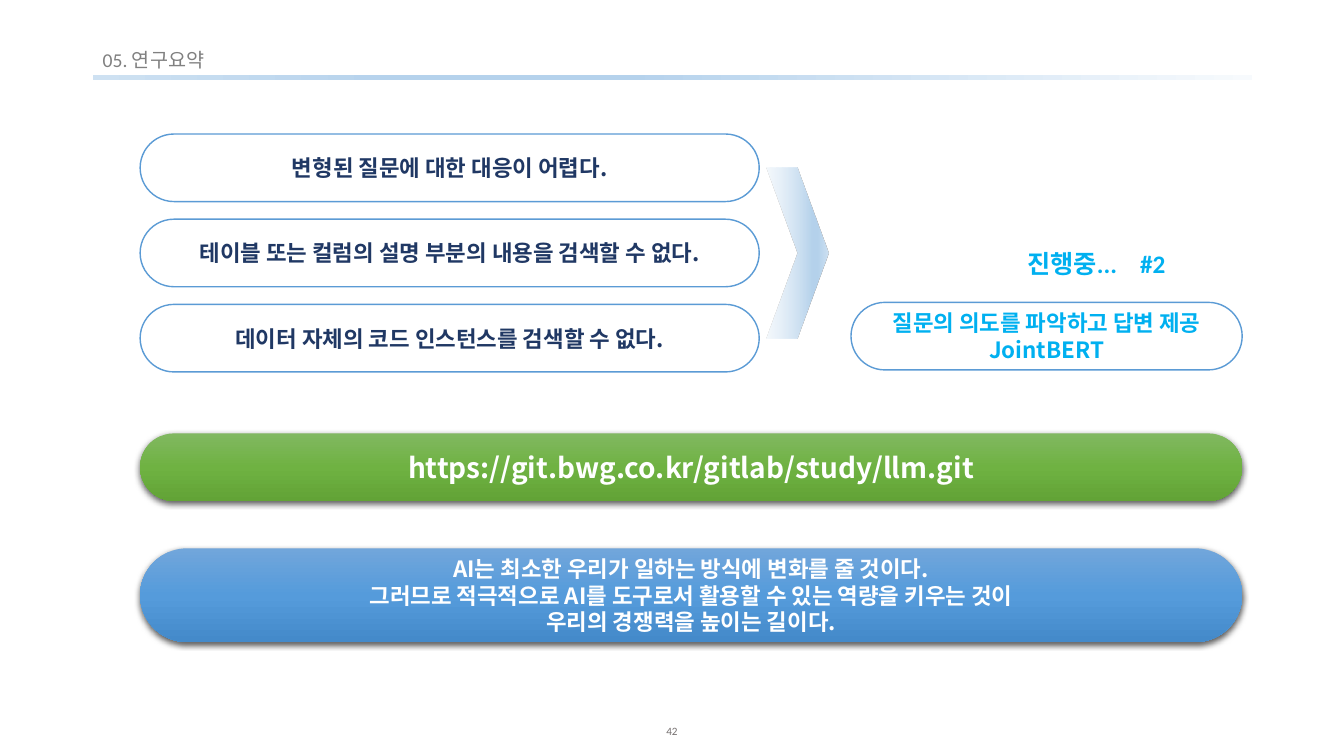
"""Builds the research summary slide with its findings, repository and conclusion."""
from lxml.etree import SubElement
from pptx import Presentation
from pptx.dml.color import RGBColor
from pptx.enum.shapes import MSO_SHAPE
from pptx.enum.text import MSO_ANCHOR, PP_ALIGN
from pptx.oxml.ns import qn
from pptx.util import Inches, Pt

HEADING = "05. 연구요약"
FINDINGS = [
    "변형된 질문에 대한 대응이 어렵다.",
    "테이블 또는 컬럼의 설명 부분의 내용을 검색할 수 없다.",
    "데이터 자체의 코드 인스턴스를 검색할 수 없다.",
]
PROGRESS = "진행중...\t#2"
NEXT_STEP = ["질문의 의도를 파악하고 답변 제공", "JointBERT"]
REPOSITORY = "https://git.bwg.co.kr/gitlab/study/llm.git"
CONCLUSION = [
    "AI는 최소한 우리가 일하는 방식에 변화를 줄 것이다.",
    "그러므로 적극적으로 AI를 도구로서 활용할 수 있는 역량을 키우는 것이",
    "우리의 경쟁력을 높이는 길이다.",
]
PAGE_NUMBER = "42"

THEME = {
    "latin": "Calibri", "korean": "Noto Sans CJK KR",
    "white": "FFFFFF", "outline": "5B9BD5", "navy": "203864", "cyan": "00B0F0",
    "gray": "808080", "page_gray": "767171", "shadow": "000000",
    "page": 8, "heading": 14, "body": 16, "progress": 18, "link": 20,
    "rule": (180, [(0, "F7FAFD", 100), (54, "B5D2EC", 100), (73, "B5D2EC", 100), (100, "CEE1F2", 100)]),
    "arrow": (0, [(0, "E3EEF8", 38), (74, "B5D2EC", 100), (83, "B5D2EC", 100), (100, "CEE1F2", 100)]),
    "green": (90, [(0, "81B861", 100), (50, "6FB242", 100), (100, "62A336", 100)]),
    "blue": (90, [(0, "71A6DB", 100), (50, "559BDB", 100), (100, "448ACA", 100)]),
}

LEFT, RIGHT = 1.39, 12.32
PILL_HEIGHT = 0.67
FINDINGS_TOP, FINDINGS_LAST, FINDINGS_WIDTH = 1.33, 3.02, 6.14
NEXT_LEFT = 8.44


def add_color(parent, color, alpha):
    node = SubElement(parent, qn("a:srgbClr"), val=color)
    if alpha < 100:
        SubElement(node, qn("a:alpha"), val=str(alpha * 1000))


def fill_gradient(shape, gradient):
    angle, stops = gradient
    shape.fill.gradient()
    fill = shape._element.spPr.find(qn("a:gradFill"))
    for child in list(fill):
        fill.remove(child)
    stop_list = SubElement(fill, qn("a:gsLst"))
    for position, color, alpha in stops:
        stop = SubElement(stop_list, qn("a:gs"), pos=str(position * 1000))
        add_color(stop, color, alpha)
    SubElement(fill, qn("a:lin"), ang=str(angle * 60000), scaled="0")


def add_shadow(shape):
    effects = shape._element.spPr.find(qn("a:effectLst"))
    shadow = SubElement(effects, qn("a:outerShdw"), blurRad=str(Pt(4.5)), dist=str(Pt(1.5)),
                        dir=str(90 * 60000), algn="ctr", rotWithShape="0")
    add_color(shadow, THEME["shadow"], 63)


def write(shape, lines, size, color, face="korean", bold=True, align=PP_ALIGN.CENTER,
          anchor=MSO_ANCHOR.MIDDLE, margins=(0.04, 0.05, 0.04, 0.05), spacing=None, tab=None):
    frame = shape.text_frame
    sides = ("margin_left", "margin_top", "margin_right", "margin_bottom")
    layout = dict(zip(sides, map(Inches, margins)), word_wrap=True, vertical_anchor=anchor)
    for name, value in layout.items():
        setattr(frame, name, value)
    for index, line in enumerate(lines):
        paragraph = frame.add_paragraph() if index else frame.paragraphs[0]
        paragraph.alignment = align
        paragraph.line_spacing = spacing
        if tab:
            tabs = SubElement(paragraph._p.get_or_add_pPr(), qn("a:tabLst"))
            SubElement(tabs, qn("a:tab"), pos=str(Inches(tab)), algn="l")
        run = paragraph.add_run()
        run.text = line
        for name, value in {"size": Pt(THEME[size]), "bold": bold, "name": THEME[face]}.items():
            setattr(run.font, name, value)
        run.font.color.rgb = RGBColor.from_string(THEME[color])
        SubElement(run._r.get_or_add_rPr(), qn("a:ea"), typeface=THEME["korean"])


def add_shape(slide, kind, box, gradient=None):
    shape = slide.shapes.add_shape(kind, *map(Inches, box))
    shape.shadow.inherit = False
    if gradient:
        fill_gradient(shape, THEME[gradient])
        shape.line.fill.background()
    else:
        shape.fill.solid()
        shape.fill.fore_color.rgb = RGBColor.from_string(THEME["white"])
        shape.line.color.rgb = RGBColor.from_string(THEME["outline"])
        shape.line.width = Pt(1)
    return shape


def add_pill(slide, box, lines, size, color, gradient=None):
    pill = add_shape(slide, MSO_SHAPE.ROUNDED_RECTANGLE, box, gradient)
    pill.adjustments[0] = 0.5
    if gradient:
        add_shadow(pill)
    write(pill, lines, size, color)


def add_label(slide, box, line, size, color, **layout):
    label = slide.shapes.add_textbox(*map(Inches, box))
    write(label, [line], size, color, face="latin", **layout)


def main():
    deck = Presentation()
    deck.slide_width, deck.slide_height = Inches(13.33), Inches(7.5)
    slide = deck.slides.add_slide(deck.slide_layouts[6])
    top_left = {"align": PP_ALIGN.LEFT, "anchor": MSO_ANCHOR.TOP, "margins": (0.1, 0.05, 0.1, 0.05)}

    add_label(slide, (6.47, 7.07, 0.39, 0.4), PAGE_NUMBER, "page", "page_gray",
              bold=False, margins=(0, 0.05, 0, 0.08))
    add_shape(slide, MSO_SHAPE.RECTANGLE, (0.92, 0.74, 11.5, 0.05), "rule")
    add_label(slide, (0.92, 0.45, 11.5, 0.32), HEADING, "heading", "gray",
              bold=False, spacing=0.9, **top_left)

    pitch = (FINDINGS_LAST - FINDINGS_TOP) / (len(FINDINGS) - 1)
    for index, finding in enumerate(FINDINGS):
        box = (LEFT, FINDINGS_TOP + index * pitch, FINDINGS_WIDTH, PILL_HEIGHT)
        add_pill(slide, box, [finding], "body", "navy")

    add_shape(slide, MSO_SHAPE.CHEVRON, (7.6, 1.66, 0.62, 1.7), "arrow")
    add_label(slide, (10.09, 2.41, 1.86, 0.51), PROGRESS, "progress", "cyan", tab=1.12, **top_left)
    add_pill(slide, (NEXT_LEFT, 3, RIGHT - NEXT_LEFT, PILL_HEIGHT), NEXT_STEP, "body", "cyan")
    add_pill(slide, (LEFT, 4.3, RIGHT - LEFT, PILL_HEIGHT), [REPOSITORY], "link", "white", "green")
    add_pill(slide, (LEFT, 5.44, RIGHT - LEFT, 0.93), CONCLUSION, "body", "white", "blue")
    deck.save("out.pptx")


if __name__ == "__main__":
    main()
